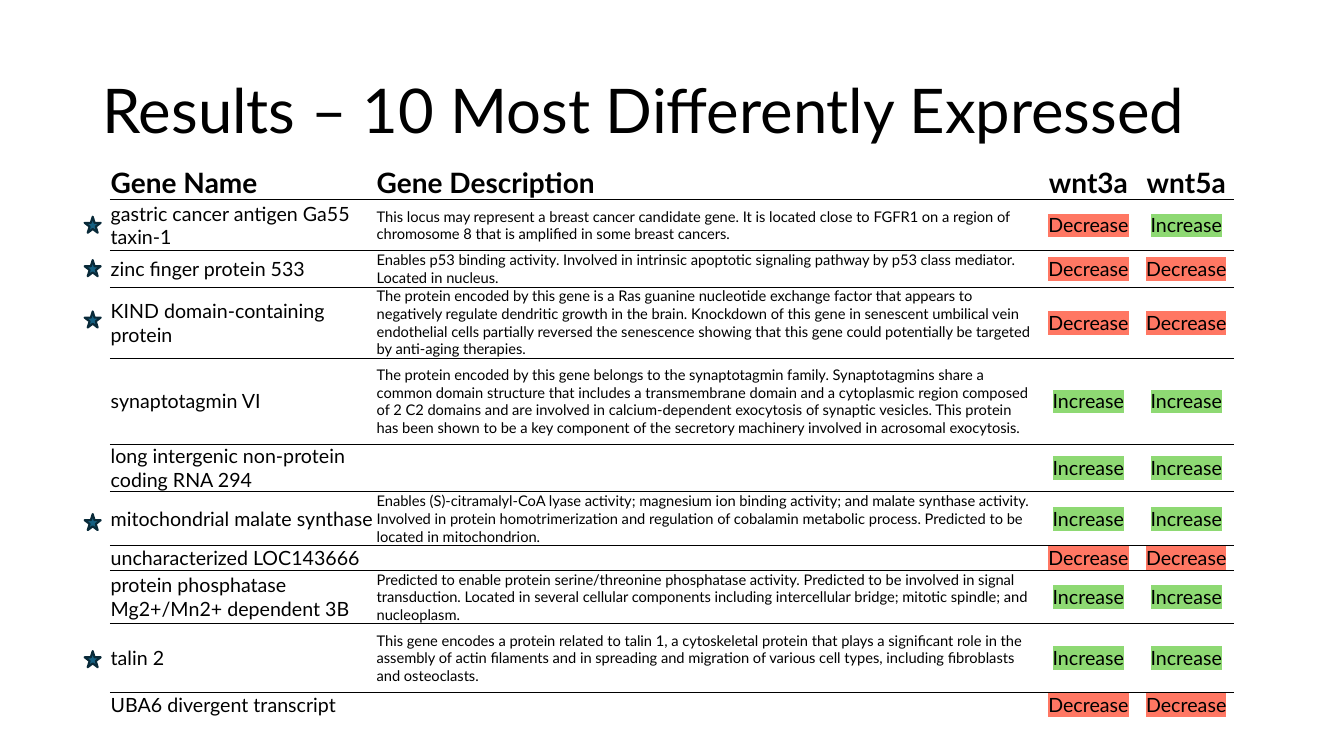
from lxml import etree
from pptx import Presentation
from pptx.dml.color import RGBColor
from pptx.enum import shapes, text
from pptx.oxml import ns
from pptx.util import Pt

BLACK = RGBColor(0x00, 0x00, 0x00)
RED = RGBColor(0xFF, 0x77, 0x63)
GREEN = RGBColor(0x8E, 0xD9, 0x73)
TEAL = RGBColor(0x15, 0x60, 0x82)
NAVY = RGBColor(0x09, 0x2A, 0x39)
FONT = "Lato"
TREND_COLORS = {"Decrease": RED, "Increase": GREEN}

HEADERS = ["Gene Name", "Gene Description", "wnt3a", "wnt5a"]
COLUMN_WIDTHS = [190, 473, 72, 67.8]
HEADER_HEIGHT = 36.5
STAR_TOPS = [154.8, 185.8, 222.5, 367.2, 465.1]

GENES = [
    (36.7, "gastric cancer antigen Ga55 taxin-1",
     "This locus may represent a breast cancer candidate gene. It is located close to FGFR1 on a "
     "region of chromosome 8 that is amplified in some breast cancers.",
     "Decrease", "Increase"),
    (24.5, "zinc finger protein 533",
     "Enables p53 binding activity. Involved in intrinsic apoptotic signaling pathway by p53 class "
     "mediator. Located in nucleus.",
     "Decrease", "Decrease"),
    (36.7, "KIND domain-containing protein",
     "The protein encoded by this gene is a Ras guanine nucleotide exchange factor that appears to "
     "negatively regulate dendritic growth in the brain. Knockdown of this gene in senescent "
     "umbilical vein endothelial cells partially reversed the senescence showing that this gene "
     "could potentially be targeted by anti-aging therapies.",
     "Decrease", "Decrease"),
    (61.2, "synaptotagmin VI",
     "The protein encoded by this gene belongs to the synaptotagmin family. Synaptotagmins share a "
     "common domain structure that includes a transmembrane domain and a cytoplasmic region "
     "composed of 2 C2 domains and are involved in calcium-dependent exocytosis of synaptic "
     "vesicles. This protein has been shown to be a key component of the secretory machinery "
     "involved in acrosomal exocytosis.",
     "Increase", "Increase"),
    (12.2, "long intergenic non-protein coding RNA 294", "", "Increase", "Increase"),
    (26.6, "mitochondrial malate synthase",
     "Enables (S)-citramalyl-CoA lyase activity; magnesium ion binding activity; and malate "
     "synthase activity. Involved in protein homotrimerization and regulation of cobalamin "
     "metabolic process. Predicted to be located in mitochondrion.",
     "Increase", "Increase"),
    (12.2, "uncharacterized LOC143666", "", "Decrease", "Decrease"),
    (24.5, "protein phosphatase Mg2+/Mn2+ dependent 3B",
     "Predicted to enable protein serine/threonine phosphatase activity. Predicted to be involved "
     "in signal transduction. Located in several cellular components including intercellular "
     "bridge; mitotic spindle; and nucleoplasm.",
     "Increase", "Increase"),
    (49, "talin 2",
     "This gene encodes a protein related to talin 1, a cytoskeletal protein that plays a "
     "significant role in the assembly of actin filaments and in spreading and migration of "
     "various cell types, including fibroblasts and osteoclasts.",
     "Increase", "Increase"),
    (12.2, "UBA6 divergent transcript", "", "Decrease", "Decrease"),
]


def set_font(p, size, bold=False):
    p.font.name = FONT
    p.font.size = Pt(size)
    p.font.bold = bold
    p.font.color.rgb = BLACK


def add_title(slide, title):
    sp = slide.shapes.add_textbox(Pt(66), Pt(28.8), Pt(828), Pt(104.4))
    tf = sp.text_frame
    tf.word_wrap = True
    tf.vertical_anchor = text.MSO_ANCHOR.MIDDLE
    p = tf.paragraphs[0]
    p.text = title
    p.line_spacing = 0.9
    set_font(p, 44)


def set_borders(cell, top, bottom):
    tc_pr = cell.fill._xPr
    for i, (side, width) in enumerate([("L", 0), ("R", 0), ("T", top), ("B", bottom)]):
        ln = etree.Element(ns.qn(f"a:ln{side}"), w=str(Pt(width)))
        if width:
            fill = etree.SubElement(ln, ns.qn("a:solidFill"))
            etree.SubElement(fill, ns.qn("a:srgbClr"), val=str(BLACK))
        else:
            etree.SubElement(ln, ns.qn("a:noFill"))
        tc_pr.insert(i, ln)


def highlight(r, color):
    mark = etree.SubElement(r._r.get_or_add_rPr(), ns.qn("a:highlight"))
    etree.SubElement(mark, ns.qn("a:srgbClr"), val=str(color))


def fill_cell(cell, words, size, centered, header, top, bottom):
    cell.margin_left = cell.margin_right = cell.margin_top = Pt(0.6)
    cell.margin_bottom = 0
    cell.vertical_anchor = text.MSO_ANCHOR.BOTTOM if header else text.MSO_ANCHOR.MIDDLE
    cell.fill.background()
    set_borders(cell, top, bottom)
    p = cell.text_frame.paragraphs[0]
    p.alignment = text.PP_ALIGN.CENTER if centered else text.PP_ALIGN.LEFT
    set_font(p, size, header)
    if words:
        r = p.add_run()
        r.text = words
        if words in TREND_COLORS:
            highlight(r, TREND_COLORS[words])
    else:
        etree.SubElement(p._p, ns.qn("a:endParaRPr"), sz=str(int(size * 100)))


def add_gene_table(slide):
    rows = [(HEADER_HEIGHT, *HEADERS), *GENES]
    frame = slide.shapes.add_table(len(rows), len(HEADERS), Pt(78.5), Pt(105.8), Pt(802.8), Pt(408))
    table = frame.table
    table.first_row = table.horz_banding = False
    for column, width in zip(table.columns, COLUMN_WIDTHS):
        column.width = Pt(width)
    rules = [0, 1] + [0.25] * (len(GENES) - 1) + [0]
    for i, (height, *words) in enumerate(rows):
        table.rows[i].height = Pt(height)
        sizes = [14, 10.5, 14, 14] if i else [20] * 4
        for j, (word, size) in enumerate(zip(words, sizes)):
            fill_cell(table.cell(i, j), word, size, j > 1, i == 0, rules[i], rules[i + 1])
    frame.height = Pt(408)


def add_star(slide, top):
    sp = slide.shapes.add_shape(shapes.MSO_SHAPE.STAR_5_POINT, Pt(60.5), Pt(top), Pt(11.5), Pt(11.5))
    sp.shadow.inherit = False
    sp.fill.solid()
    sp.fill.fore_color.rgb = TEAL
    sp.line.color.rgb = NAVY
    sp.line.width = Pt(1.5)


def main():
    prs = Presentation()
    prs.slide_width, prs.slide_height = Pt(960), Pt(540)
    slide = prs.slides.add_slide(prs.slide_layouts[6])
    add_title(slide, "Results – 10 Most Differently Expressed")
    add_gene_table(slide)
    for top in STAR_TOPS:
        add_star(slide, top)
    prs.save("out.pptx")


if __name__ == "__main__":
    main()
